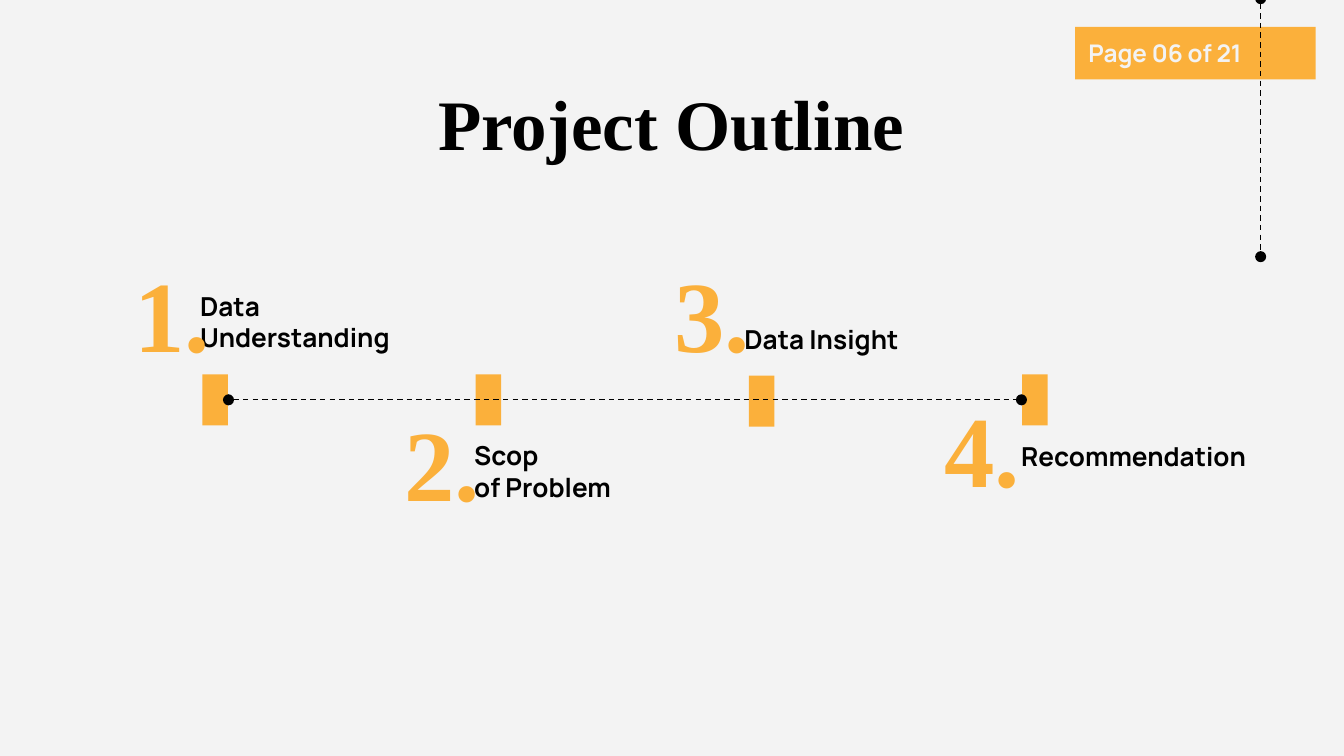
from dataclasses import dataclass

from pptx import Presentation
from pptx import util as u
from pptx.dml.color import RGBColor
from pptx.enum import dml, shapes, text
from pptx.oxml import ns
from lxml import etree


@dataclass(frozen=True)
class Theme:
    paper: RGBColor = RGBColor.from_string("F3F3F3")
    ink: RGBColor = RGBColor.from_string("000000")
    accent: RGBColor = RGBColor.from_string("FBB03B")
    serif: str = "Times New Roman"
    sans: str = "Manrope"
    title: int = 38
    number: int = 54
    number_gap: int = 28
    label: int = 14
    page: int = 13
    rule: float = 0.75


THEME = Theme()


def inches(*lengths):
    return [u.Inches(length) for length in lengths]


def add_run(paragraph, words, font, size, color):
    run = paragraph.add_run()
    run.text = words
    run.font.name = font
    run.font.size = u.Pt(size)
    run.font.bold = True
    run.font.color.rgb = color


def set_frame(frame, anchor):
    frame.word_wrap = True
    frame.auto_size = text.MSO_AUTO_SIZE.NONE
    frame.vertical_anchor = anchor
    frame.margin_left = frame.margin_right = u.Inches(0.1)
    frame.margin_top = frame.margin_bottom = u.Inches(0.1)


def add_text(slide, box, lines):
    frame = slide.shapes.add_textbox(*inches(*box)).text_frame
    set_frame(frame, text.MSO_ANCHOR.MIDDLE)
    for index, runs in enumerate(lines):
        paragraph = frame.add_paragraph() if index else frame.paragraphs[0]
        paragraph.line_spacing = 1.0
        for run in runs:
            add_run(paragraph, *run)


def add_block(slide, box, rotation=0):
    block = slide.shapes.add_shape(shapes.MSO_SHAPE.RECTANGLE, *inches(*box))
    block.rotation = rotation
    block.shadow.inherit = False
    block.fill.solid()
    block.fill.fore_color.rgb = THEME.accent
    block.line.fill.background()


def add_dotted_rule(slide, start, end):
    rule = slide.shapes.add_connector(
        shapes.MSO_CONNECTOR.STRAIGHT, *inches(*start, *end))
    rule.line.color.rgb = THEME.ink
    rule.line.width = u.Pt(THEME.rule)
    rule.line.dash_style = dml.MSO_LINE.DASH
    outline = rule.line._get_or_add_ln()
    for tip in ("a:headEnd", "a:tailEnd"):
        etree.SubElement(outline, ns.qn(tip), type="oval")
    etree.SubElement(rule._element.spPr, ns.qn("a:effectLst"))


def add_page_tag(slide, box):
    left, top, width, height = box
    add_block(slide, box)
    rule_x = left + 1.38
    add_dotted_rule(slide, (rule_x, top - 0.21), (rule_x, top + 1.71))
    add_text(slide, box, [[("Page 06 of 21", THEME.sans, THEME.page, THEME.paper)]])


def add_title(slide, box):
    title = slide.shapes.title
    title.left, title.top, title.width, title.height = inches(*box)
    set_frame(title.text_frame, text.MSO_ANCHOR.TOP)
    paragraph = title.text_frame.paragraphs[0]
    paragraph.alignment = text.PP_ALIGN.CENTER
    paragraph.line_spacing = 1.0
    add_run(paragraph, "Project Outline", THEME.serif, THEME.title, THEME.ink)


def add_timeline(slide, box, drops):
    left, top, width, height = box
    long_side, short_side = 0.38, 0.19
    pitch = (width - long_side) / (len(drops) - 1)
    for index, drop in enumerate(drops):
        marker = (left + index * pitch, top + drop, long_side, short_side)
        add_block(slide, marker, rotation=270)
    middle = top + height / 2
    add_dotted_rule(slide, (left + 0.29, middle), (left + width - 0.29, middle))


def add_step(slide, box, number, label_lines, label_offset):
    left, top, width, height = box
    shift, drop, label_width = label_offset
    add_text(slide, (left + shift, top + drop, label_width, 0.33),
             [[(line, THEME.sans, THEME.label, THEME.ink)] for line in label_lines])
    add_text(slide, box, [[
        (f"{number}.", THEME.serif, THEME.number, THEME.accent),
        (" ", THEME.serif, THEME.number_gap, THEME.accent),
    ]])


def add_outline_slide(deck):
    slide = deck.slides.add_slide(deck.slide_layouts[5])
    slide.background.fill.solid()
    slide.background.fill.fore_color.rgb = THEME.paper
    add_page_tag(slide, (8, 0.2, 1.79, 0.39))
    add_title(slide, (0.62, 0.49, 8.75, 0.63))
    add_timeline(slide, (1.41, 2.88, 6.48, 0.19), (0, 0, 0.01, 0))
    steps = [
        ((0.9, 2.09, 0.86, 0.47), ("Data", "Understanding"), (0.49, 0.14, 1.65)),
        ((2.91, 3.2, 0.86, 0.47), ("Scop", "of Problem"), (0.52, 0.14, 1.65)),
        ((4.92, 2.09, 0.86, 0.47), ("Data Insight",), (0.52, 0.27, 1.65)),
        ((6.93, 3.09, 0.97, 0.47), ("Recommendation",), (0.57, 0.14, 1.96)),
    ]
    for number, (box, label_lines, label_offset) in enumerate(steps, start=1):
        add_step(slide, box, number, label_lines, label_offset)


def main():
    deck = Presentation()
    deck.slide_width = u.Inches(10)
    deck.slide_height = deck.slide_width * 9 // 16
    add_outline_slide(deck)
    deck.save("out.pptx")


if __name__ == "__main__":
    main()
